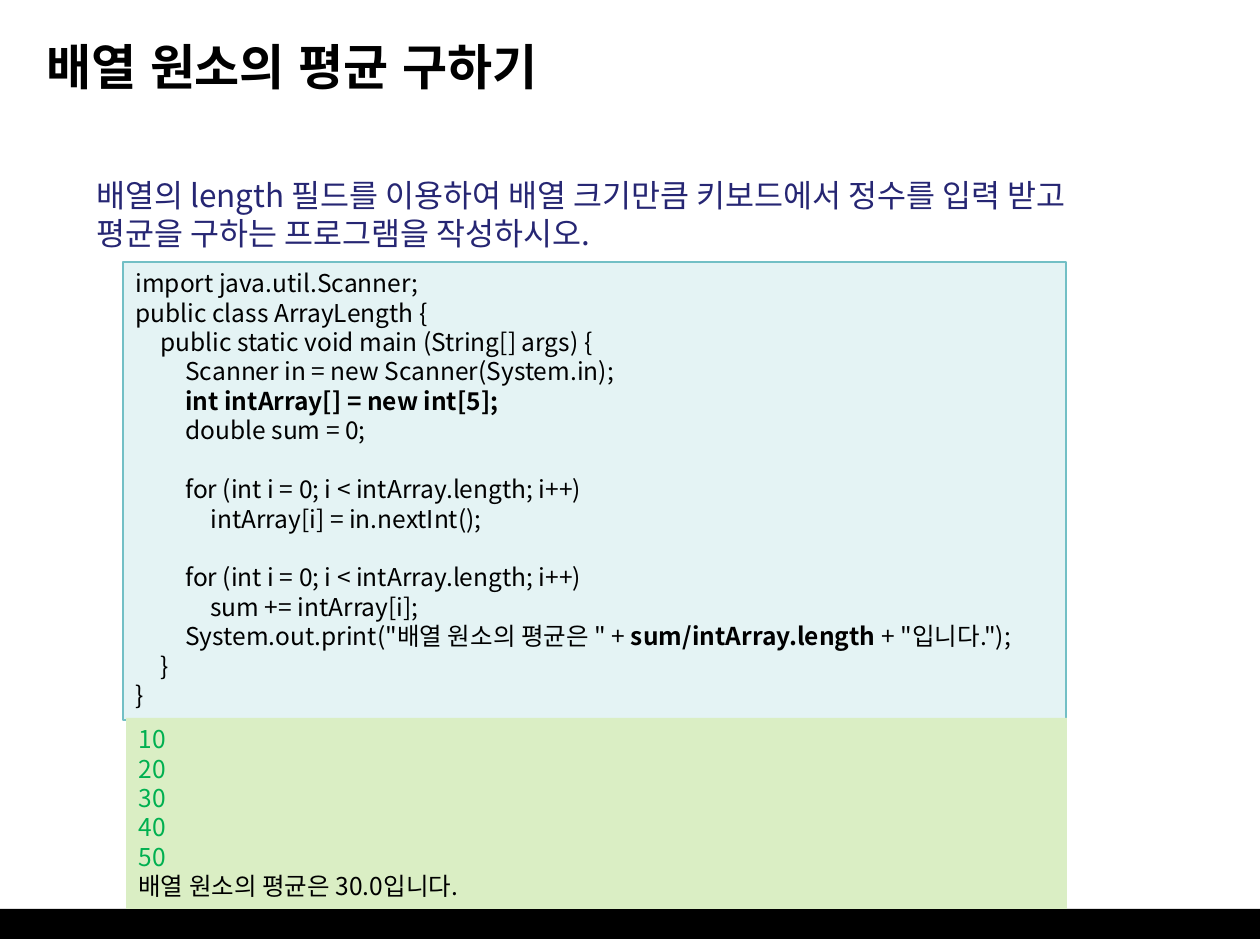
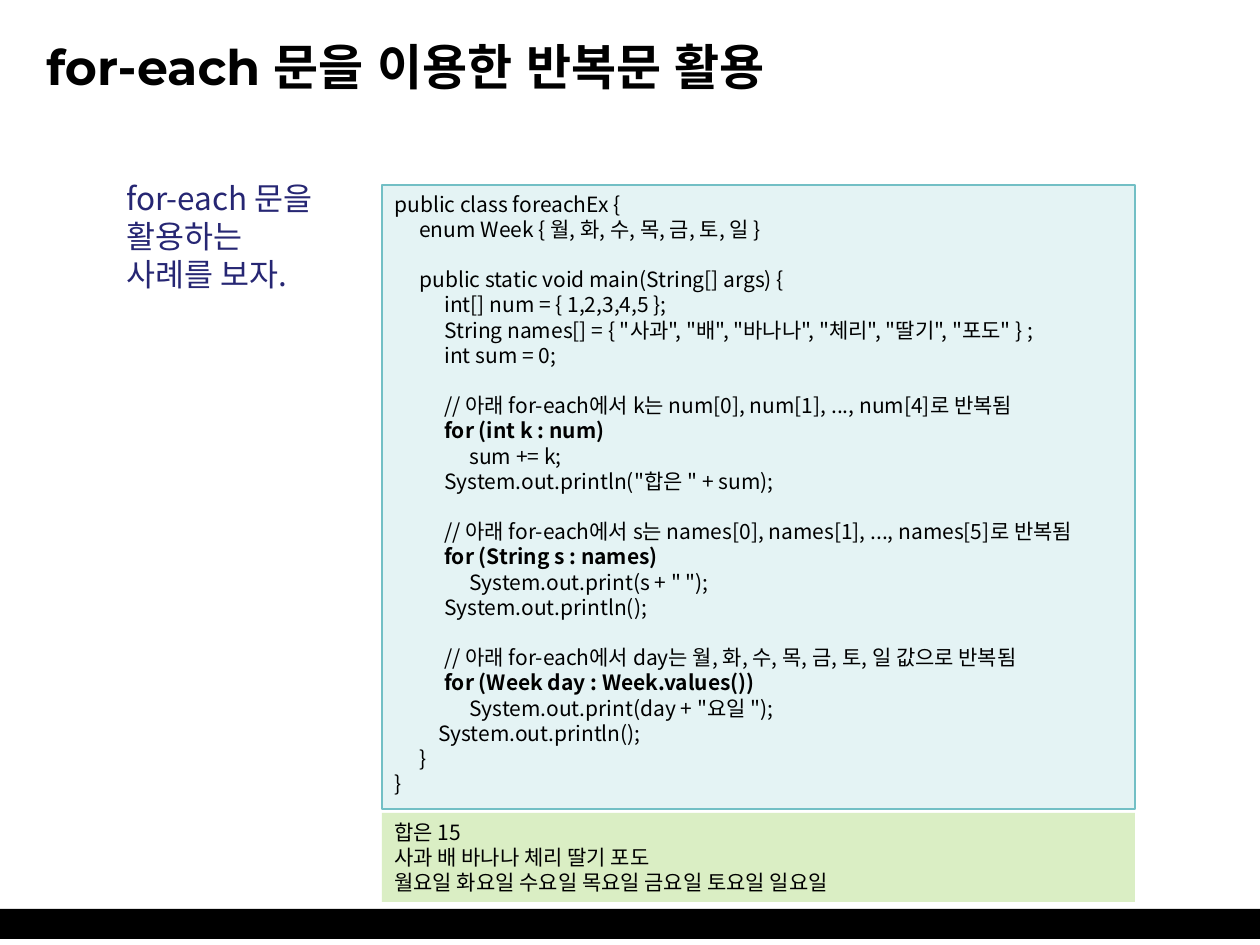
from dataclasses import dataclass

from pptx import Presentation
from pptx.dml.color import RGBColor
from pptx.enum import shapes, text
from pptx.oxml.ns import qn
from pptx.util import Emu, Pt

PIXEL = 914400 / 126


@dataclass(frozen=True)
class Theme:
    title_font: str = "Montserrat"
    body_font: str = "Noto Sans CJK KR"
    black: str = "000000"
    lead_color: str = "262673"
    input_color: str = "00B050"
    code_fill: str = "E4F3F4"
    code_line: str = "72BFC5"
    output_fill: str = "DAEEC4"
    title_size: int = 28
    lead_size: int = 18
    leading: float = 1.2
    indent: int = 25


THEME = Theme()

# Code lines are (indent depth, text); None is a gap, ** surrounds bold words
AVERAGE_CODE = [
    (0, "import java.util.Scanner;"),
    (0, "public class ArrayLength {"),
    (1, "public static void main (String[] args) {"),
    (2, "Scanner in = new Scanner(System.in);"),
    (2, "**int intArray[] = new int[5];**"),
    (2, "double sum = 0;"),
    None,
    (2, "for (int i = 0; i < intArray.length; i++)"),
    (3, "intArray[i] = in.nextInt();"),
    None,
    (2, "for (int i = 0; i < intArray.length; i++)"),
    (3, "sum += intArray[i];"),
    (2, 'System.out.print("배열 원소의 평균은 " + **sum/intArray.length** + "입니다.");'),
    (1, "}"),
    (0, "}"),
]

FOREACH_CODE = [
    (0, "public class foreachEx {"),
    (1, "enum Week { 월, 화, 수, 목, 금, 토, 일 }"),
    None,
    (1, "public static void main(String[] args) {"),
    (2, "int[] num = { 1,2,3,4,5 };"),
    (2, 'String names[] = { "사과", "배", "바나나", "체리", "딸기", "포도" } ;'),
    (2, "int sum = 0;"),
    None,
    (2, "// 아래 for-each에서 k는 num[0], num[1], ..., num[4]로 반복됨"),
    (2, "**for (int k : num)**"),
    (3, "sum += k;"),
    (2, 'System.out.println("합은 " + sum);'),
    None,
    (2, "// 아래 for-each에서 s는 names[0], names[1], ..., names[5]로 반복됨"),
    (2, "**for (String s : names)**"),
    (3, 'System.out.print(s + " ");'),
    (2, "System.out.println();"),
    None,
    (2, "// 아래 for-each에서 day는 월, 화, 수, 목, 금, 토, 일 값으로 반복됨"),
    (2, "**for (Week day : Week.values())**"),
    (3, 'System.out.print(day + "요일 ");'),
    (1.75, "System.out.println();"),
    (1, "}"),
    (0, "}"),
]


def px(length):
    return Emu(round(length * PIXEL))


def format_span(span, size, color, font=THEME.body_font, bold=False):
    span.font.size = Pt(size)
    span.font.name = font
    span.font.bold = bold
    span.font.color.rgb = RGBColor.from_string(color)
    # The East Asian face follows the Latin one
    properties = span.font._element
    east_asian = properties.makeelement(qn("a:ea"), {"typeface": font})
    properties.find(qn("a:latin")).addnext(east_asian)


def add_panel(page, bounds, fill, line=None):
    panel = page.shapes.add_shape(shapes.MSO_SHAPE.RECTANGLE, *map(px, bounds))
    panel.shadow.inherit = False
    panel.fill.solid()
    panel.fill.fore_color.rgb = RGBColor.from_string(fill)
    if line:
        panel.line.color.rgb = RGBColor.from_string(line)
        panel.line.width = Pt(0.75)
    else:
        panel.line.fill.background()
    return panel


def add_text_box(page, bounds):
    box = page.shapes.add_textbox(*map(px, bounds))
    box.text_frame.word_wrap = True
    return box


def write_lines(box, lines, size, color=THEME.black):
    """Write plain lines, each a string or a (string, colour) pair."""
    frame = box.text_frame
    frame.vertical_anchor = text.MSO_ANCHOR.TOP
    pairs = [(line, color) if isinstance(line, str) else line for line in lines]
    frame.text = "\n".join(words for words, _ in pairs)
    for para, (_, line_color) in zip(frame.paragraphs, pairs):
        para.alignment = text.PP_ALIGN.LEFT
        para.line_spacing = Pt(size * THEME.leading)
        format_span(para.runs[0], size, line_color)


def write_code(box, lines, size):
    frame = box.text_frame
    frame.vertical_anchor = text.MSO_ANCHOR.TOP
    line_height = Pt(size * THEME.leading)
    para, after_gap = frame.paragraphs[0], False
    for number, line in enumerate(lines):
        if line is None:
            after_gap = True
            continue
        depth, words = line
        if number:
            para = frame.add_paragraph()
        para.alignment = text.PP_ALIGN.LEFT
        para.line_spacing = line_height
        if after_gap:
            para.space_before = line_height
        para._p.get_or_add_pPr().set("marL", str(px(depth * THEME.indent)))
        for part, words_part in enumerate(words.split("**")):
            if words_part:
                span = para.add_run()
                span.text = words_part
                format_span(span, size, THEME.black, bold=part % 2 == 1)
        after_gap = False


def add_page(deck, title):
    """Blank page with the shared footer band and title."""
    page = deck.slides.add_slide(deck.slide_layouts[6])
    add_panel(page, (0, 909, 1260, 30), THEME.black)
    box = add_text_box(page, (34, 16, 1191, 100))
    box.text_frame.vertical_anchor = text.MSO_ANCHOR.MIDDLE
    box.text_frame.text = title
    format_span(box.text_frame.paragraphs[0].runs[0], THEME.title_size,
                THEME.black, THEME.title_font, bold=True)
    return page


def add_lead(page, bounds, lines):
    write_lines(add_text_box(page, bounds), lines, THEME.lead_size, THEME.lead_color)


def add_code(page, bounds, lines, size):
    write_code(add_panel(page, bounds, THEME.code_fill, THEME.code_line), lines, size)


def add_output(page, bounds, lines, size):
    write_lines(add_panel(page, bounds, THEME.output_fill), lines, size)


def add_average_page(deck):
    page = add_page(deck, "배열 원소의 평균 구하기")
    add_lead(page, (84, 170, 1077, 89), [
        "배열의 length 필드를 이용하여 배열 크기만큼 키보드에서 정수를 입력 받고 "
        "평균을 구하는 프로그램을 작성하시오."])
    add_code(page, (123, 262, 943, 458), AVERAGE_CODE, 14)
    typed = [(str(number), THEME.input_color) for number in range(10, 60, 10)]
    add_output(page, (126, 718, 941, 191),
               typed + ["배열 원소의 평균은 30.0입니다."], 14)


def add_foreach_page(deck):
    page = add_page(deck, "for-each 문을 이용한 반복문 활용")
    add_lead(page, (114, 173, 248, 127), ["for-each 문을", "활용하는", "사례를 보자."])
    add_code(page, (382, 185, 753, 624), FOREACH_CODE, 12)
    add_output(page, (382, 813, 753, 89), [
        "합은 15",
        "사과 배 바나나 체리 딸기 포도",
        "월요일 화요일 수요일 목요일 금요일 토요일 일요일"], 12)


def main():
    deck = Presentation()
    deck.slide_width, deck.slide_height = px(1260), px(945)
    add_average_page(deck)
    add_foreach_page(deck)
    deck.save("out.pptx")


main()
